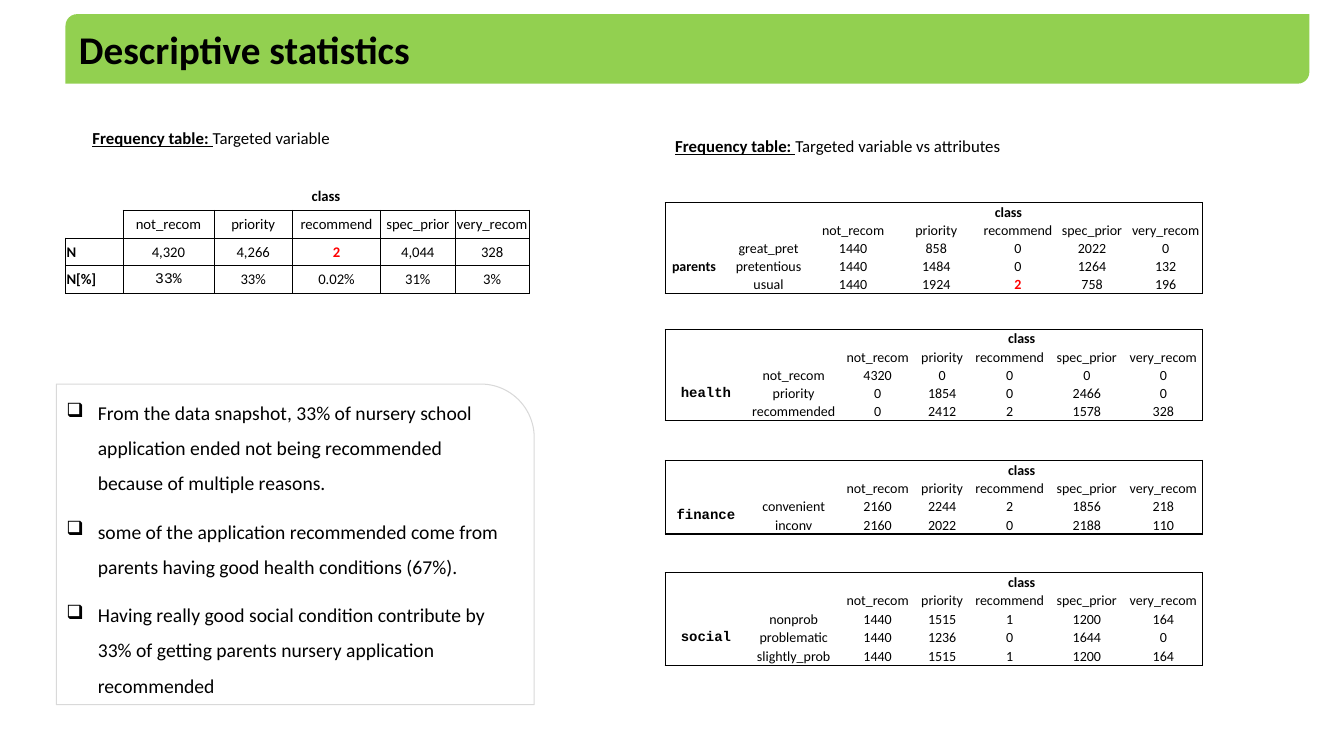
from dataclasses import dataclass

from lxml.etree import SubElement
from pptx import Presentation
from pptx.dml.color import RGBColor
from pptx.enum.shapes import MSO_SHAPE as Form
from pptx.enum.text import MSO_ANCHOR as Anchor, MSO_AUTO_SIZE as Fit, PP_ALIGN as Align
from pptx.oxml.ns import qn
from pptx.slide import Slide
from pptx.table import _Cell as Cell
from pptx.text.text import Font
from pptx.util import Pt

BLACK = RGBColor(0, 0, 0)
RED = RGBColor(0xFF, 0, 0)
GREEN = RGBColor(0x92, 0xD0, 0x50)
GRAY = RGBColor(0xD9, 0xD9, 0xD9)
SANS, MONO = "Calibri", "Courier New"
PLAIN = "{2D5ABB26-0587-4C30-8999-92F81FD0307C}"
HEAD = ["not_recom", "priority", "recommend", "spec_prior", "very_recom"]
WIDE = (41, 65.5, 55.4, 63.4, 53.3, 52.6, 52.6)
NARROW = (58, 67.4, 52.6, 39.6, 56.9, 53.3, 56)


@dataclass(frozen=True)
class Grid:
    """A class table: lead is the count of label columns, hot and mono are cells."""
    left: float
    top: float
    height: float
    cols: tuple[float, ...]
    rows: list[list[str]]
    lead: int = 2
    size: float = 10
    hot: tuple[int, int] | None = None
    mono: tuple[int, int] | None = None


@dataclass(frozen=True)
class Label:
    left: float
    top: float
    text: str


GRIDS = [
    Grid(46.8, 130.3, 79.2, (41, 65, 56.2, 62.8, 53.4, 52.8), [
        ["N", "4,320", "4,266", "2", "4,044", "328"],
        ["N[%]", "33%", "33%", "0.02%", "31%", "3%"],
    ], lead=1, size=10.5, hot=(2, 3), mono=(3, 1)),
    Grid(475.2, 144.9, 64.8, WIDE, [
        ["parents", "great_pret", "1440", "858", "0", "2022", "0"],
        ["", "pretentious", "1440", "1484", "0", "1264", "132"],
        ["", "usual", "1440", "1924", "2", "758", "196"],
    ], hot=(4, 4)),
    Grid(475.2, 235.4, 64.8, NARROW, [
        ["health", "not_recom", "4320", "0", "0", "0", "0"],
        ["", "priority", "0", "1854", "0", "2466", "0"],
        ["", "recommended", "0", "2412", "2", "1578", "328"],
    ], mono=(2, 0)),
    Grid(475.2, 329, 52.6, NARROW, [
        ["finance", "convenient", "2160", "2244", "2", "1856", "218"],
        ["", "inconv", "2160", "2022", "0", "2188", "110"],
    ], mono=(2, 0)),
    Grid(475.2, 409, 66.2, NARROW, [
        ["social", "nonprob", "1440", "1515", "1", "1200", "164"],
        ["", "problematic", "1440", "1236", "0", "1644", "0"],
        ["", "slightly_prob", "1440", "1515", "1", "1200", "164"],
    ], mono=(2, 0)),
]
LABELS = [
    Label(59, 87.8, "Targeted variable"),
    Label(475.2, 93.6, "Targeted variable vs attributes"),
]
NOTES = [
    "From the data snapshot, 33% of nursery school application ended not being "
    "recommended because of multiple reasons.",
    "some of the application recommended come from parents having good health "
    "conditions (67%).",
    "Having really good social condition contribute by 33% of getting parents "
    "nursery application recommended",
]


def style(font: Font, size: float, bold: bool = False, color: RGBColor = BLACK,
          name: str = SANS) -> None:
    font.size, font.bold, font.name = Pt(size), bold, name
    font.color.rgb = color


def draw_title(slide: Slide) -> None:
    box = Pt(46.8), Pt(10.1), Pt(888.5), Pt(49.7)
    band = slide.shapes.add_shape(Form.ROUND_2_DIAG_RECTANGLE, *box)
    band.shadow.inherit = False
    band.fill.solid()
    band.fill.fore_color.rgb = GREEN
    band.line.fill.background()
    title = slide.shapes.title
    title.left, title.top, title.width, title.height = box
    band.element.addnext(title.element)
    frame = title.text_frame
    frame.text = "Descriptive statistics"
    frame.auto_size, frame.vertical_anchor = Fit.NONE, Anchor.MIDDLE
    frame.margin_left = Pt(9.6)
    para = frame.paragraphs[0]
    para.alignment = Align.LEFT
    style(para.runs[0].font, 28, True)


def draw_label(slide: Slide, label: Label) -> None:
    box = slide.shapes.add_textbox(Pt(label.left), Pt(label.top), Pt(285), Pt(21.8))
    frame = box.text_frame
    frame.word_wrap, frame.auto_size = True, Fit.SHAPE_TO_FIT_TEXT
    para = frame.paragraphs[0]
    for text, strong in (("Frequency table: ", True), (label.text, False)):
        run = para.add_run()
        run.text = text
        style(run.font, 12, strong)
        run.font.underline = strong


def draw_notes(slide: Slide) -> None:
    box = slide.shapes.add_shape(Form.ROUND_1_RECTANGLE, Pt(40.3), Pt(274.3),
                                 Pt(341.3), Pt(229))
    box.shadow.inherit = False
    box.fill.background()
    box.line.color.rgb, box.line.width = GRAY, Pt(0.75)
    frame = box.text_frame
    frame.word_wrap, frame.vertical_anchor = True, Anchor.TOP
    frame.auto_size = Fit.SHAPE_TO_FIT_TEXT
    frame.text = "\n".join(NOTES)
    for para in frame.paragraphs:
        para.alignment, para.line_spacing = Align.LEFT, 1.5
        if para is not frame.paragraphs[0]:
            para.space_before = Pt(0)
        para.space_after = Pt(9.2)
        style(para.runs[0].font, 14)
        props = para._p.get_or_add_pPr()
        props.set("marL", str(Pt(22.5)))
        props.set("indent", str(Pt(-22.5)))
        SubElement(props, qn("a:buChar"), char="❑")
    frame.paragraphs[-1].space_after = Pt(0)


def edge(cell: Cell, sides: str, width: float) -> None:
    """Rule the given sides (of L, R, T, B) and leave the others bare."""
    props = cell._tc.get_or_add_tcPr()
    for side in "LRTB":
        line = SubElement(props, qn(f"a:ln{side}"), w=str(Pt(width)))
        if side in sides:
            fill = SubElement(line, qn("a:solidFill"))
            SubElement(fill, qn("a:srgbClr"), val=str(BLACK))
        else:
            SubElement(line, qn("a:noFill"))


def grid_sides(row: int, col: int) -> str:
    """Sides of a fully ruled grid whose top left corner is open."""
    if row == 0:
        return "B" if col else ""
    return "RB" if (row, col) == (1, 0) else "LRTB"


def frame_sides(cell: Cell, row: int, col: int, last: tuple[int, int]) -> str:
    """Sides of a cell that lie on the outer frame."""
    ends = {"L": col == 0, "R": col + cell.span_width > last[1],
            "T": row == 0, "B": row + cell.span_height > last[0]}
    return "".join(side for side, hit in ends.items() if hit)


def draw_grid(slide: Slide, grid: Grid) -> None:
    blank = [""] * grid.lead
    rows = [blank + ["class"] + [""] * 4, blank + HEAD, *grid.rows]
    last = len(rows) - 1, len(grid.cols) - 1
    table = slide.shapes.add_table(len(rows), len(grid.cols), Pt(grid.left), Pt(grid.top),
                                   Pt(sum(grid.cols)), Pt(grid.height)).table
    table.first_row = table.horz_banding = False
    table._tbl.tblPr.find(qn("a:tableStyleId")).text = PLAIN
    for col, width in zip(table.columns, grid.cols):
        col.width = Pt(width)
    table.cell(0, grid.lead).merge(table.cell(0, last[1]))
    framed = grid.lead == 2
    if framed:
        table.cell(2, 0).merge(table.cell(last[0], 0))
    for row, texts in enumerate(rows):
        for col, text in enumerate(texts):
            cell, spot = table.cell(row, col), (row, col)
            cell.margin_left = cell.margin_right = cell.margin_top = Pt(0.72)
            cell.margin_bottom = 0
            cell.vertical_anchor = Anchor.MIDDLE
            if framed:
                edge(cell, frame_sides(cell, row, col, last), 1)
            else:
                edge(cell, grid_sides(row, col), 0.5)
            cell.fill.background()
            para = cell.text_frame.paragraphs[0]
            if not text:
                SubElement(para._p, qn("a:endParaRPr"), sz=str(int(grid.size * 100)))
                continue
            para.text = text
            para.alignment = Align.CENTER if framed or col else Align.LEFT
            hot = spot == grid.hot
            style(para.runs[0].font, grid.size, hot or row == 0 or col == 0,
                  RED if hot else BLACK, MONO if spot == grid.mono else SANS)


def main() -> None:
    deck = Presentation()
    deck.slide_width, deck.slide_height = Pt(960), Pt(540)
    slide = deck.slides.add_slide(deck.slide_layouts[5])
    draw_title(slide)
    draw_notes(slide)
    for grid in GRIDS:
        draw_grid(slide, grid)
    for label in LABELS:
        draw_label(slide, label)
    deck.save("out.pptx")


if __name__ == "__main__":
    main()
